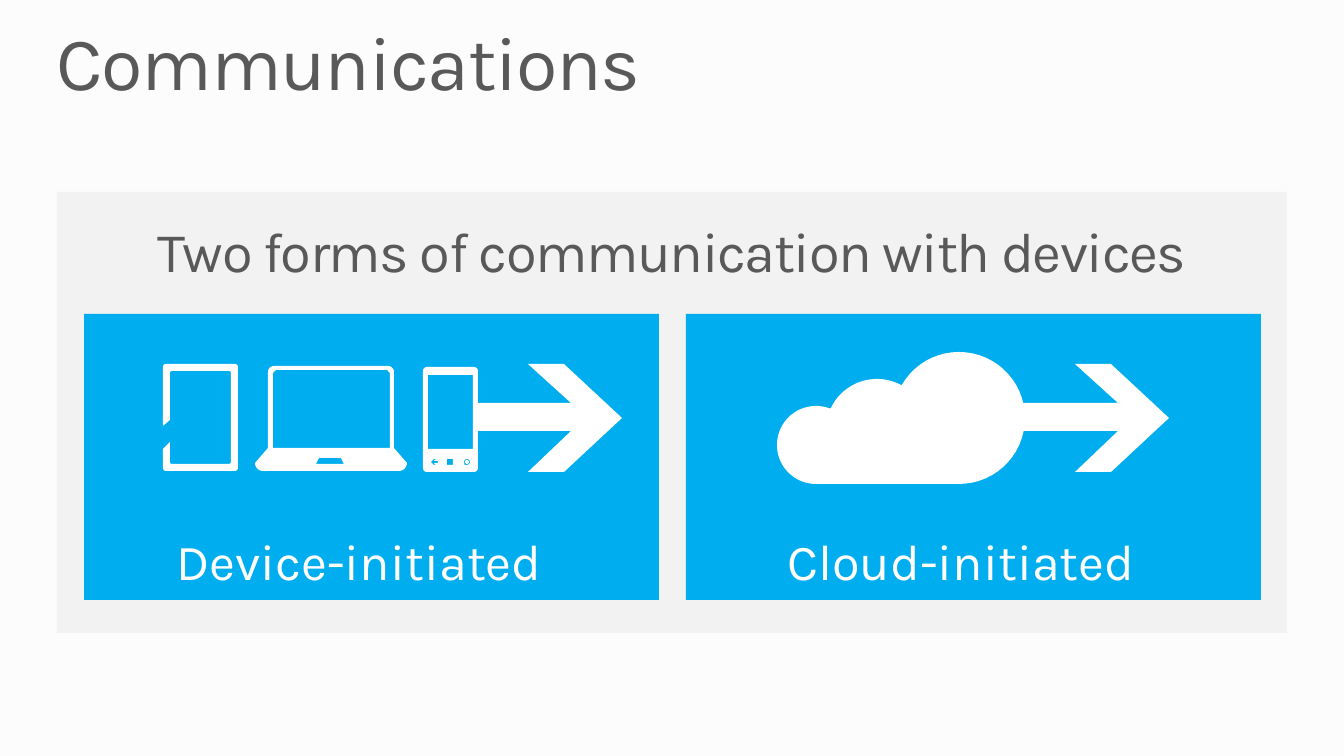
from math import cos, radians, sin

from pptx import Presentation
from pptx.dml.color import RGBColor as RGB
from pptx.enum.shapes import MSO_SHAPE as Kind
from pptx.enum.text import MSO_ANCHOR as Anchor, PP_ALIGN as Align
from pptx.util import Emu, Pt

UNIT = 914400 / 100.8
HEX = {"page": "FCFCFC", "panel": "F2F2F2", "card": "00AEEF",
       "text": "595959", "white": "FFFFFF"}


def px(n):
    return Emu(round(n * UNIT))


def paint(shape, tone):
    shape.fill.solid()
    shape.fill.fore_color.rgb = RGB.from_string(HEX[tone])
    shape.line.fill.background()
    shape.shadow.inherit = False


def block(slide, box, tone):
    paint(slide.shapes.add_shape(Kind.RECTANGLE, *map(px, box)), tone)


def write(slide, box, text, size, tone="text", align=Align.CENTER,
          anchor=Anchor.TOP, inset=(0, 0), space=1.0, track=0):
    frame = slide.shapes.add_textbox(*map(px, box)).text_frame
    frame.word_wrap = True
    frame.vertical_anchor = anchor
    frame.margin_left = frame.margin_right = px(inset[0])
    frame.margin_top = frame.margin_bottom = px(inset[1])
    para = frame.paragraphs[0]
    para.alignment, para.line_spacing = align, space
    run = para.add_run()
    run.text = text
    font = run.font
    font.name, font.size = "Karla", Pt(size)
    font.color.rgb = RGB.from_string(HEX[tone])
    if track:
        run._r.get_or_add_rPr().set("spc", str(track))


def arc(x, y, r, start, end, steps=40):
    """Points on a circle, clockwise between two angles in degrees."""
    turns = [radians(start + (end - start) * i / steps)
             for i in range(steps + 1)]
    return [(x + r * cos(t), y + r * sin(t)) for t in turns]


def soft(left, top, right, bottom, r):
    """Outline of a box with rounded corners."""
    return (arc(left + r, top + r, r, 180, 270, 6)
            + arc(right - r, top + r, r, 270, 360, 6)
            + arc(right - r, bottom - r, r, 0, 90, 6)
            + arc(left + r, bottom - r, r, 90, 180, 6))


def draw(slide, x, y, *loops):
    """One white outline; the loops inside the first one are holes."""
    loops = [[(px(x + a), px(y + b)) for a, b in loop] for loop in loops]
    pen = slide.shapes.build_freeform(*loops[0][0], scale=1.0)
    for i, loop in enumerate(loops):
        if i:
            pen.move_to(*loop[0])
        pen.add_line_segments(loop[1:], close=True)
    paint(pen.convert_to_shape(), "white")


def arrow(slide, x, y):
    draw(slide, x, y, [(97, 39), (54, 0), (90, 0), (148, 54), (90, 108),
                       (54, 108), (97, 67), (0, 67), (0, 39)])


def tablet(slide, x, y):
    """Frame with a slanted gap in its left side."""
    draw(slide, x, y,
         [(0, 62)] + arc(3, 3, 3, 180, 270, 6) + arc(72, 3, 3, 270, 360, 6)
         + arc(72, 104, 3, 0, 90, 6) + arc(3, 104, 3, 90, 180, 6)
         + [(0, 85), (7, 78)] + arc(9, 98, 2, 180, 90, 6)
         + arc(66, 98, 2, 90, 0, 6) + arc(66, 9, 2, 0, -90, 6)
         + arc(9, 9, 2, 270, 180, 6) + [(7, 56)])


def laptop(slide, x, y):
    draw(slide, x, y,
         arc(19, 6, 6, 180, 270, 6) + arc(133, 6, 6, 270, 360, 6)
         + [(139, 82), (152, 97)] + arc(144, 97, 8, 0, 90, 6)
         + arc(8, 97, 8, 90, 180, 6) + [(13, 82)],
         [(18, 82), (18, 7), (21, 4), (132, 4), (135, 7), (135, 82)],
         [(64, 92), (86, 92), (89, 98), (61, 98)])


def phone(slide, x, y):
    draw(slide, x, y, soft(0, 0, 55, 105, 4),
         [(5, 8), (50, 8), (50, 82), (5, 82)],
         [(8, 95), (11, 92), (13, 92), (11, 94), (15, 94), (15, 96),
          (11, 96), (13, 98), (11, 98)],
         [(24, 92), (30, 92), (30, 98), (24, 98)],
         arc(44, 95, 3, -210, 90, 12) + [(42, 98), (41, 97)],
         arc(44, 95, 2, 0, 330, 11))


def cloud(slide, x, y):
    draw(slide, x, y, arc(39, 93, 39, 90, 291) + arc(100, 78, 51, 206, 299)
         + arc(182, 66, 66, 210, 450))


def card(slide, x, y, label, left):
    block(slide, (x, y, 575, 286), "card")
    write(slide, (x + left, y + 216, 384, 61), label, 36, "white",
          anchor=Anchor.MIDDLE)


def panel(slide, x, y):
    block(slide, (x, y, 1230, 441), "panel")
    write(slide, (x + 84, y + 19, 1062, 78),
          "Two forms of communication with devices", 40,
          inset=(10, 5), track=-100)
    near, far, top = x + 27, x + 629, y + 122
    card(slide, near, top, "Device-initiated", 83)
    tablet(slide, near + 79, top + 50)
    laptop(slide, near + 171, top + 52)
    phone(slide, near + 339, top + 53)
    arrow(slide, near + 390, top + 50)
    card(slide, far, top, "Cloud-initiated", 83)
    cloud(slide, far + 91, top + 38)
    arrow(slide, far + 335, top + 50)


def main():
    deck = Presentation()
    deck.slide_width, deck.slide_height = px(1344), px(756)
    slide = deck.slides.add_slide(deck.slide_layouts[6])
    back = slide.background.fill
    back.solid()
    back.fore_color.rgb = RGB.from_string(HEX["page"])
    write(slide, (57, 25, 1229, 83), "Communications", 54,
          align=Align.LEFT, space=0.9, track=-100)
    panel(slide, 57, 192)
    deck.save("out.pptx")


if __name__ == "__main__":
    main()
